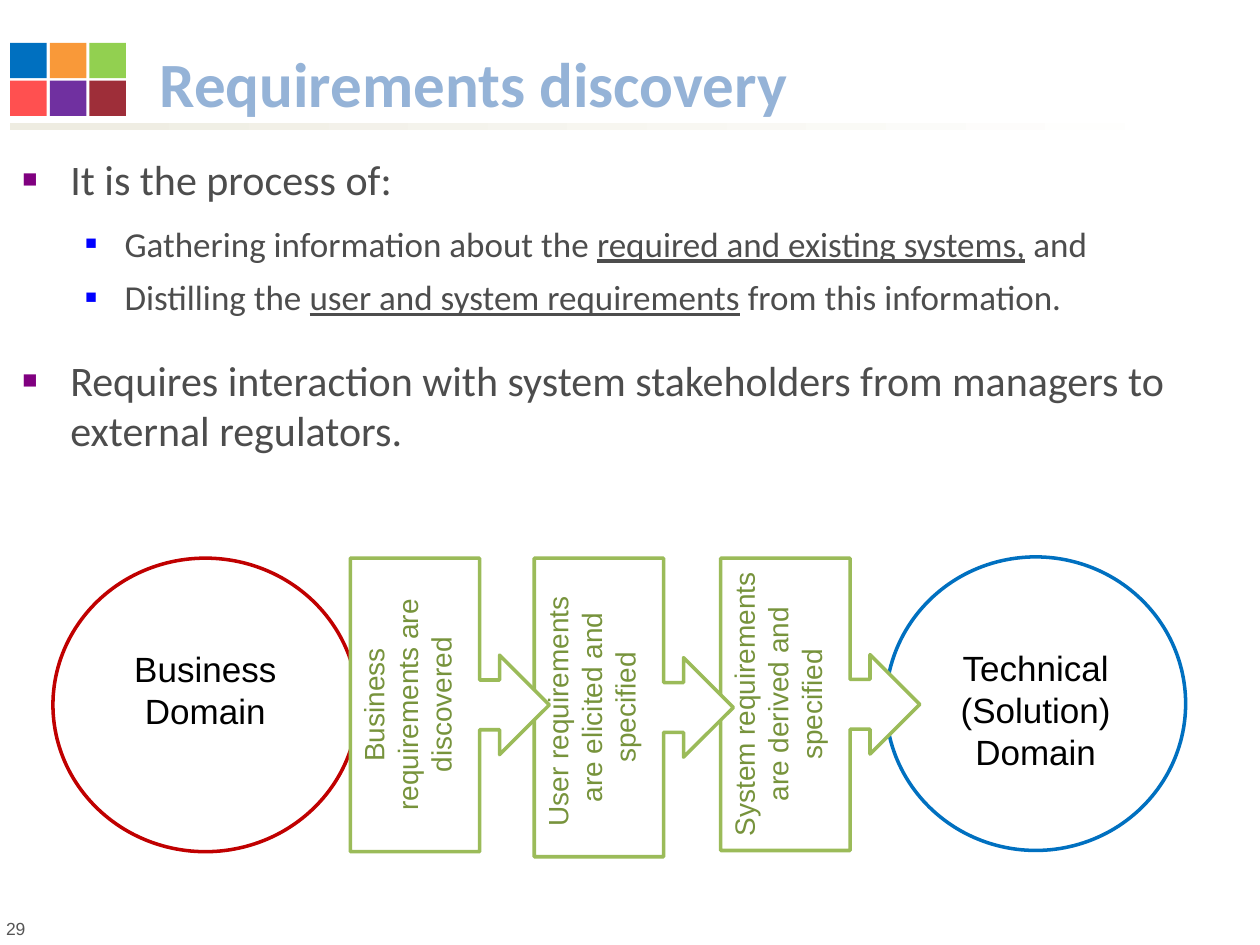
from pptx import Presentation
from pptx.dml.color import RGBColor
from pptx.enum import shapes, text
from pptx.oxml import parse_xml
from pptx.oxml.ns import nsdecls
from pptx.util import Inches, Pt

COLORS = {
    "white": "FFFFFF", "black": "000000", "cream": "EEECE1",
    "title": "95B3D7", "body": "4D4D4D", "number": "555555",
    "blue": "0070C0", "orange": "F99939", "green": "92D050",
    "coral": "FF5050", "purple": "7030A0", "maroon": "9E2E39",
    "red": "C00000", "olive": "9BBB59", "olive_text": "77933C",
    "bullet": "800080", "sub_bullet": "0000FF",
}
SHAPES = shapes.MSO_SHAPE


def write(paragraph, content, size=20, font="Arial", color="black",
          bold=None, underline=None, align=None):
    run = paragraph.add_run()
    run.text = content
    run.font.size = Pt(size)
    run.font.name = font
    run.font.bold = bold
    run.font.underline = underline
    run.font.color.rgb = RGBColor.from_string(COLORS[color])
    if align is not None:
        paragraph.alignment = align


def draw(kind, box, fill, outline=None):
    shape = slide.shapes.add_shape(kind, *map(Inches, box))
    shape.shadow.inherit = False
    shape.fill.solid()
    shape.fill.fore_color.rgb = RGBColor.from_string(COLORS[fill])
    if outline:
        shape.line.color.rgb = RGBColor.from_string(COLORS[outline])
        shape.line.width = Pt(2)
    else:
        shape.line.fill.background()
    shape.text_frame.word_wrap = True
    shape.text_frame.vertical_anchor = text.MSO_ANCHOR.TOP
    return shape


deck = Presentation()
deck.slide_width = Inches(10)
deck.slide_height = Inches(7.5)
slide = deck.slides.add_slide(deck.slide_layouts[6])

rule = draw(SHAPES.RECTANGLE, (0.08, 0.98, 9.48, 0.05), "cream")
rule.fill.gradient()
rule.fill.gradient_angle = 0
for stop, color, position in zip(rule.fill.gradient_stops, ("cream", "white"), (0, 1)):
    stop.color.rgb = RGBColor.from_string(COLORS[color])
    stop.position = position

page = slide.shapes.add_textbox(Inches(-0.05), Inches(7.24), Inches(5.8), Inches(0.27))
page.text_frame.word_wrap = True
write(page.text_frame.paragraphs[0], "29", size=10, color="number")

tiles = [("blue", "orange", "green"), ("coral", "purple", "maroon")]
for row, tile_colors in enumerate(tiles):
    for column, color in enumerate(tile_colors):
        draw(SHAPES.RECTANGLE, (0.08 + 0.315 * column, 0.34 + 0.3 * row, 0.29, 0.28), color)

title = slide.shapes.add_textbox(Inches(1.17), Inches(0.32), Inches(8.67), Inches(0.68))
title.text_frame.word_wrap = True
title.text_frame.vertical_anchor = text.MSO_ANCHOR.BOTTOM
write(title.text_frame.paragraphs[0], "Requirements discovery",
      size=36, font="Calibri", color="title", bold=True)

body = slide.shapes.add_textbox(Inches(0.08), Inches(1.17), Inches(9.92), Inches(2.75))
body.text_frame.word_wrap = True
levels = [
    {"size": 24, "margin": 0.38, "hang": 0.38, "after": 7, "bullet": "bullet", "scale": 60},
    {"size": 20, "margin": 0.81, "hang": 0.31, "after": 3, "bullet": "sub_bullet", "scale": 55},
]
points = [
    (0, 2, [("It is the process of:", None)]),
    (1, 3.5, [("Gathering information about the ", None),
              ("required and existing systems,", True), (" and", None)]),
    (1, 3.5, [("Distilling the ", None), ("user and system requirements", True),
              (" from this information.", None)]),
    (0, 18, [("Requires interaction with system stakeholders from managers to "
              "external regulators.", None)]),
]
for index, (level, before, pieces) in enumerate(points):
    style = levels[level]
    point = body.text_frame.add_paragraph() if index else body.text_frame.paragraphs[0]
    point.level = level
    point.space_before = Pt(before)
    point.space_after = Pt(style["after"])
    properties = point._p.get_or_add_pPr()
    properties.set("marL", str(Inches(style["margin"])))
    properties.set("indent", str(-Inches(style["hang"])))
    for markup in (
        f'<a:buClr {nsdecls("a")}><a:srgbClr val="{COLORS[style["bullet"]]}"/></a:buClr>',
        f'<a:buSzPct {nsdecls("a")} val="{style["scale"] * 1000}"/>',
        f'<a:buFont {nsdecls("a")} typeface="Arial"/>',
        f'<a:buChar {nsdecls("a")} char="■"/>',
    ):
        properties.append(parse_xml(markup))
    for piece, underline in pieces:
        write(point, piece, size=style["size"], font="Calibri", color="body",
              underline=underline)

domains = [
    ("Technical (Solution) Domain", (7.03, 4.42, 2.38, 2.33), "blue"),
    ("Business Domain", (0.42, 4.43, 2.42, 2.33), "red"),
]
for label, box, outline in domains:
    domain = draw(SHAPES.OVAL, box, "white", outline)
    domain.text_frame.margin_top = Inches(0.37)
    write(domain.text_frame.paragraphs[0], label, align=text.PP_ALIGN.CENTER)

steps = [
    ("System requirements are derived and specified", 5.72, 2.32),
    ("User requirements  are elicited and specified", 4.24, 2.37),
    ("Business requirements are discovered", 2.78, 2.33),
]
for label, left, height in steps:
    step = draw(SHAPES.RIGHT_ARROW_CALLOUT, (left, 4.43, 1.58, height), "white", "olive")
    step.text_frame._txBody.bodyPr.set("vert", "vert270")
    write(step.text_frame.paragraphs[0], label, size=16, color="olive_text",
          align=text.PP_ALIGN.CENTER)

deck.save("out.pptx")
